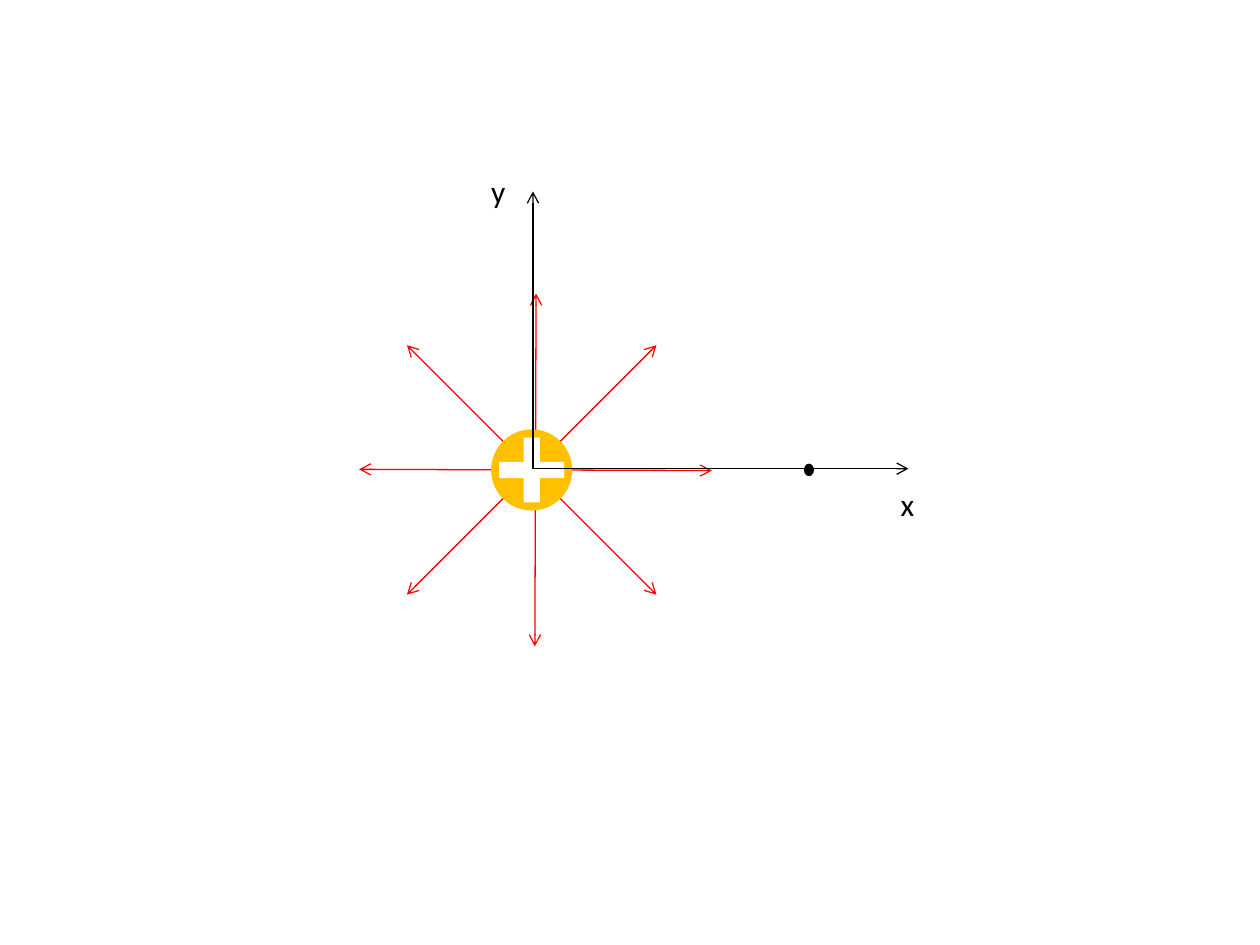
from math import cos, radians, sin

from lxml.etree import SubElement
from pptx import Presentation
from pptx.dml.color import RGBColor
from pptx.enum.shapes import MSO_CONNECTOR as Connector, MSO_SHAPE as Preset
from pptx.enum.text import MSO_AUTO_SIZE as AutoSize
from pptx.oxml.ns import qn
from pptx.util import Inches, Pt

RED, ORANGE, WHITE, BLACK = "FF0000", "FFC000", "FFFFFF", "000000"


def color(value):
    return RGBColor.from_string(value)


def add_arrow(shapes, start, end, line_color, ends=("headEnd", "tailEnd")):
    points = [Inches(length) for length in (*start, *end)]
    connector = shapes.add_connector(Connector.STRAIGHT, *points)
    connector.line.color.rgb = color(line_color)
    connector.line.width = Pt(0.75)
    properties = connector._element.spPr
    for name in ends:
        SubElement(properties.find(qn("a:ln")), qn(f"a:{name}"), type="arrow")
    SubElement(properties, qn("a:effectLst"))


def add_centered(shapes, preset, center, size, fill, rotation=0):
    (x, y), (width, height) = center, size
    box = (x - width / 2, y - height / 2, width, height)
    shape = shapes.add_shape(preset, *[Inches(length) for length in box])
    shape.shadow.inherit = False
    shape.fill.solid()
    shape.fill.fore_color.rgb = color(fill)
    shape.line.fill.background()
    shape.rotation = rotation


def add_text(shapes, text, box, size=18, font="Calibri", font_color=BLACK):
    text_box = shapes.add_textbox(*[Inches(length) for length in box])
    frame = text_box.text_frame
    frame.word_wrap = False
    frame.auto_size = AutoSize.SHAPE_TO_FIT_TEXT
    run = frame.paragraphs[0].add_run()
    run.text = text
    run.font.size = Pt(size)
    run.font.name = font
    run.font.color.rgb = color(font_color)


def add_charge(slide, box):
    """Positive charge with field lines pointing outwards in eight directions."""
    left, top, width, height = box
    x, y = center = (left + width / 2, top + height / 2)
    shapes = slide.shapes.add_group_shape().shapes
    radius = width / 2
    # Degrees clockwise from the x axis, and shift to the right
    for angle, shift in ((135, 0), (45, 0), (0.2, 0.03), (90.2, 0.03)):
        dx, dy = radius * cos(radians(angle)), radius * sin(radians(angle))
        add_arrow(shapes, (x + shift - dx, y - dy), (x + shift + dx, y + dy), RED)

    ball = 0.23 * width
    add_centered(shapes, Preset.OVAL, center, (ball, ball), ORANGE)
    for rotation in (0, 90):
        add_centered(shapes, Preset.RECTANGLE, center, (0.8 * ball, 0.2 * ball),
                     WHITE, rotation)


def add_axes(slide, box):
    """Axes with the origin at the lower left, and a point on the x axis."""
    left, top, width, height = box
    right, bottom = left + width, top + height
    shapes = slide.shapes
    for tip in ((left, top), (right, bottom)):
        add_arrow(shapes, tip, (left, bottom), BLACK, ends=("headEnd",))
    add_centered(shapes, Preset.OVAL, (left + 0.735 * width, bottom + 0.01),
                 (0.08, 0.1), BLACK)
    add_text(shapes, "x", (right - 0.16, bottom + 0.08, 0.31, 0.4))
    add_text(shapes, "y", (left - 0.43, top - 0.2, 0.32, 0.4))


def main():
    presentation = Presentation()
    presentation.slide_width, presentation.slide_height = Inches(10), Inches(7.5)
    slide = presentation.slides.add_slide(presentation.slide_layouts[6])
    add_charge(slide, (2.82, 2.33, 2.8, 2.8))
    add_axes(slide, (4.23, 1.52, 2.98, 2.2))
    presentation.save("out.pptx")


if __name__ == "__main__":
    main()
